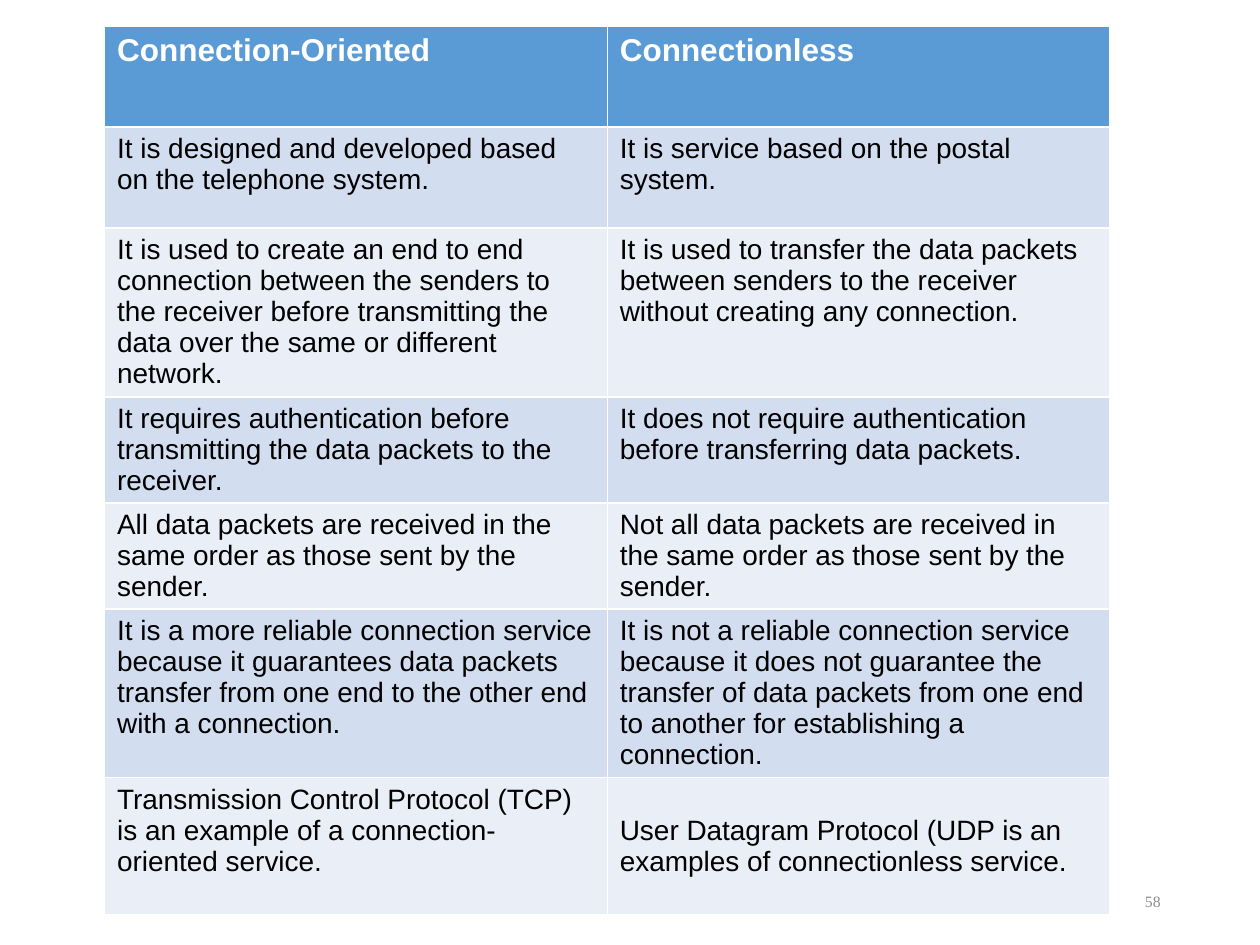
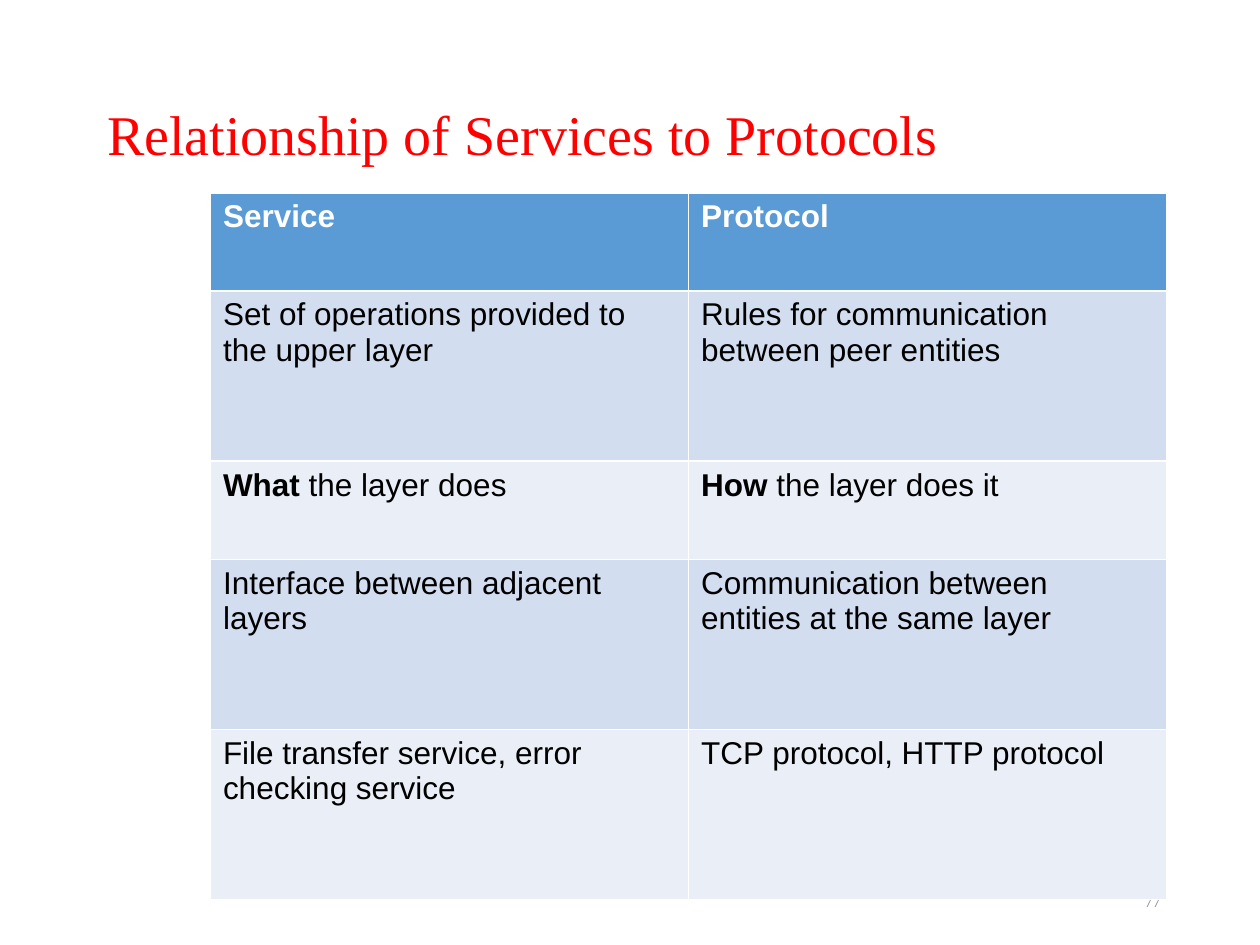
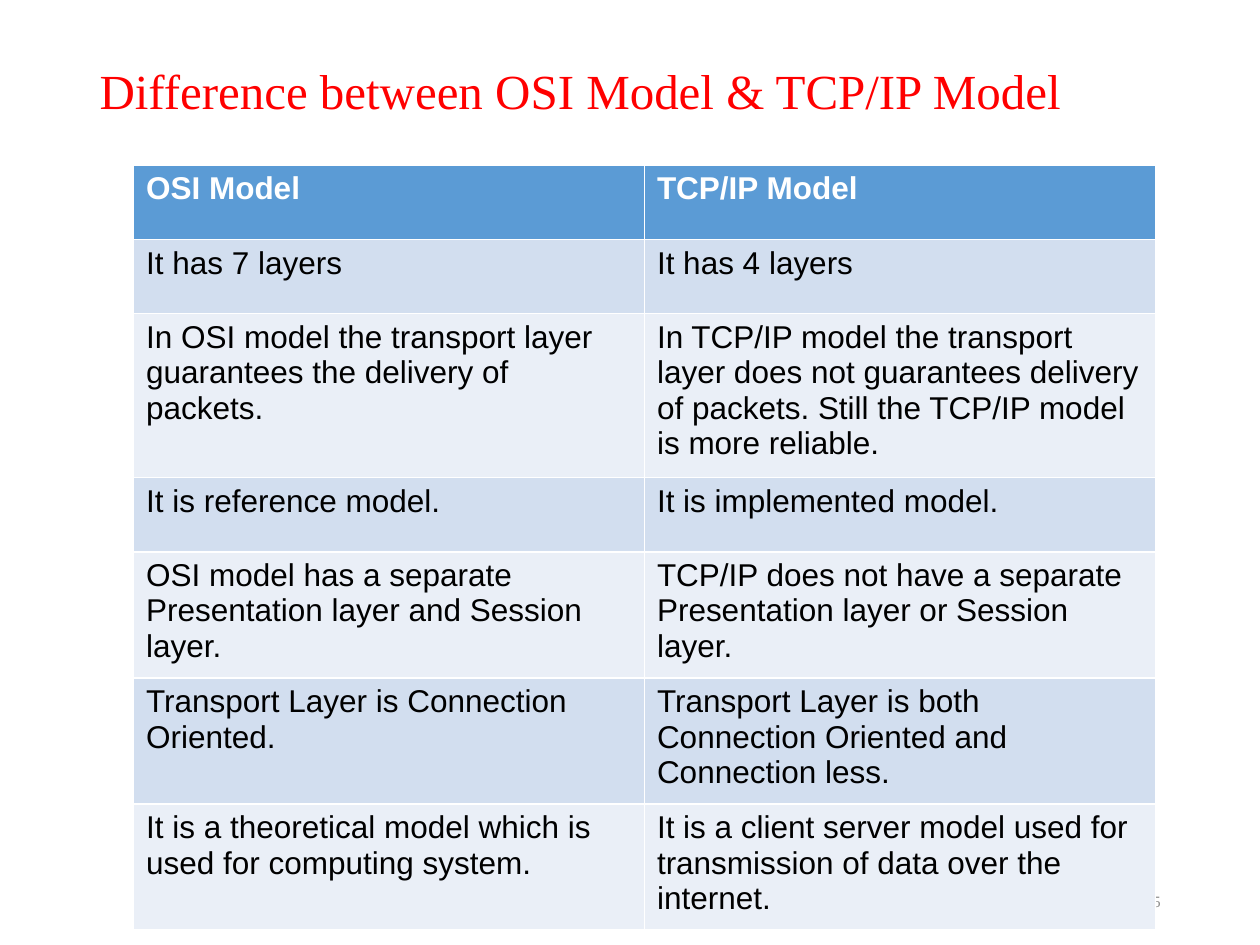
from pptx import Presentation
from pptx.dml.color import RGBColor
from pptx.enum.text import MSO_ANCHOR, MSO_AUTO_SIZE, PP_ALIGN
from pptx.util import Inches, Pt

HEADER_BLUE = RGBColor(0x5B, 0x9B, 0xD5)
BAND_DARK = RGBColor(0xD2, 0xDE, 0xEF)
BAND_LIGHT = RGBColor(0xEA, 0xEF, 0xF7)
WHITE = RGBColor(0xFF, 0xFF, 0xFF)
BLACK = RGBColor(0x00, 0x00, 0x00)
TITLE_RED = RGBColor(0xFF, 0x00, 0x00)
NUMBER_GRAY = RGBColor(0x8C, 0x8C, 0x8C)
TABLE_FONT = "Arial"
TITLE_FONT = "Times New Roman"
TITLE_ONLY_LAYOUT = 5
BLANK_LAYOUT = 6

SERVICE_TYPES = [
    ("Connection-Oriented", "Connectionless"),
    ("It is designed and developed based on the telephone system.",
     "It is service based on the postal system."),
    ("It is used to create an end to end connection between the senders to the receiver "
     "before transmitting the data over the same or different network.",
     "It is used to transfer the data packets between senders to the receiver "
     "without creating any connection."),
    ("It requires authentication before transmitting the data packets to the receiver.",
     "It does not require authentication before transferring data packets."),
    ("All data packets are received in the same order as those sent by the sender.",
     "Not all data packets are received in the same order as those sent by the sender."),
    ("It is a more reliable connection service because it guarantees data packets "
     "transfer from one end to the other end with a connection.",
     "It is not a reliable connection service because it does not guarantee the transfer "
     "of data packets from one end to another for establishing a connection."),
    ("Transmission Control Protocol (TCP) is an example of a connection-oriented service.",
     "User Datagram Protocol (UDP is an examples of connectionless service."),
]

SERVICES_AND_PROTOCOLS = [
    ("Service", "Protocol"),
    ("Set of operations provided to the upper layer",
     "Rules for communication between peer entities"),
    (("What", " the layer does"), ("How", " the layer does it")),
    ("Interface between adjacent layers",
     "Communication between entities at the same layer"),
    ("File transfer service, error checking service", "TCP protocol, HTTP protocol"),
]

MODELS = [
    ("OSI Model", "TCP/IP Model"),
    ("It has 7 layers", "It has 4 layers"),
    ("In OSI model the transport layer guarantees the delivery of packets.",
     "In TCP/IP model the transport layer does not guarantees delivery of packets. "
     "Still the TCP/IP model is more reliable."),
    ("It is reference model.", "It is implemented model."),
    ("OSI model has a separate Presentation layer and Session layer.",
     "TCP/IP does not have a separate Presentation layer or Session layer."),
    ("Transport Layer is Connection Oriented.",
     "Transport Layer is both Connection Oriented and Connection less."),
    ("It is a theoretical model which is used for computing system.",
     "It is a client server model used for transmission of data over the internet."),
]


class Deck:
    def __init__(self):
        self.presentation = Presentation()
        self.presentation.slide_width = Inches(10)
        self.presentation.slide_height = Inches(7.5)
        self.slide = None

    def start_slide(self, layout):
        self.slide = self.presentation.slides.add_slide(
            self.presentation.slide_layouts[layout])

    def style_run(self, run, font_name, size, color, bold=False):
        run.font.name = font_name
        run.font.size = Pt(size)
        run.font.color.rgb = color
        run.font.bold = bold

    def add_title(self, text, left, top, height, size):
        title = self.slide.shapes.title
        title.left, title.top = Inches(left), Inches(top)
        title.width, title.height = Inches(8.19), Inches(height)
        text_frame = title.text_frame
        text_frame.text = text
        text_frame.auto_size = MSO_AUTO_SIZE.NONE
        text_frame.vertical_anchor = MSO_ANCHOR.TOP
        text_frame.margin_top, text_frame.margin_bottom = Inches(0.12), 0
        paragraph = text_frame.paragraphs[0]
        paragraph.alignment = PP_ALIGN.LEFT
        self.style_run(paragraph.runs[0], TITLE_FONT, size, TITLE_RED)

    def add_page_number(self, number):
        box = self.slide.shapes.add_textbox(
            Inches(7.06), Inches(6.95), Inches(2.25), Inches(0.4))
        text_frame = box.text_frame
        text_frame.word_wrap = True
        text_frame.vertical_anchor = MSO_ANCHOR.MIDDLE
        text_frame.text = str(number)
        paragraph = text_frame.paragraphs[0]
        paragraph.alignment = PP_ALIGN.RIGHT
        self.style_run(paragraph.runs[0], TITLE_FONT, 9, NUMBER_GRAY)

    def fill_cell(self, cell, content, row_index, body_size):
        is_header = row_index == 0
        cell.fill.solid()
        if is_header:
            cell.fill.fore_color.rgb = HEADER_BLUE
        else:
            cell.fill.fore_color.rgb = BAND_DARK if row_index % 2 else BAND_LIGHT
        has_bold_lead = isinstance(content, tuple)
        parts = content if has_bold_lead else (content,)
        paragraph = cell.text_frame.paragraphs[0]
        for part_index, part in enumerate(parts):
            run = paragraph.add_run()
            run.text = part
            self.style_run(run, TABLE_FONT, 18 if is_header else body_size,
                           WHITE if is_header else BLACK,
                           is_header or (has_bold_lead and part_index == 0))

    def add_comparison(self, rows, left, top, width, heights, body_size=18):
        table = self.slide.shapes.add_table(
            len(rows), 2, Inches(left), Inches(top),
            Inches(width), Inches(sum(heights))).table
        for row_index, (contents, height) in enumerate(zip(rows, heights)):
            table.rows[row_index].height = Inches(height)
            for column_index, content in enumerate(contents):
                self.fill_cell(table.cell(row_index, column_index), content,
                               row_index, body_size)
        return table


def main():
    deck = Deck()

    deck.start_slide(BLANK_LAYOUT)
    service_table = deck.add_comparison(
        SERVICE_TYPES, 0.83, 0.21, 7.98,
        [0.8, 0.8, 1.34, 0.84, 0.84, 1.34, 1.09], body_size=16)
    service_table.cell(6, 1).vertical_anchor = MSO_ANCHOR.MIDDLE
    deck.add_page_number(58)

    deck.start_slide(TITLE_ONLY_LAYOUT)
    deck.add_title("Relationship of Services to Protocols", 0.75, 0.67, 0.64, 32)
    deck.add_page_number(77)
    deck.add_comparison(SERVICES_AND_PROTOCOLS, 1.67, 1.53, 7.59,
                        [0.78, 1.35, 0.78, 1.35, 1.35])

    deck.start_slide(TITLE_ONLY_LAYOUT)
    deck.add_title("Difference between OSI Model & TCP/IP Model", 0.69, 0.36, 0.57, 28)
    deck.add_page_number(85)
    deck.add_comparison(MODELS, 1.06, 1.31, 8.11,
                        [0.59, 0.59, 1.3, 0.59, 1, 1, 1])

    deck.presentation.save("out.pptx")


if __name__ == "__main__":
    main()
